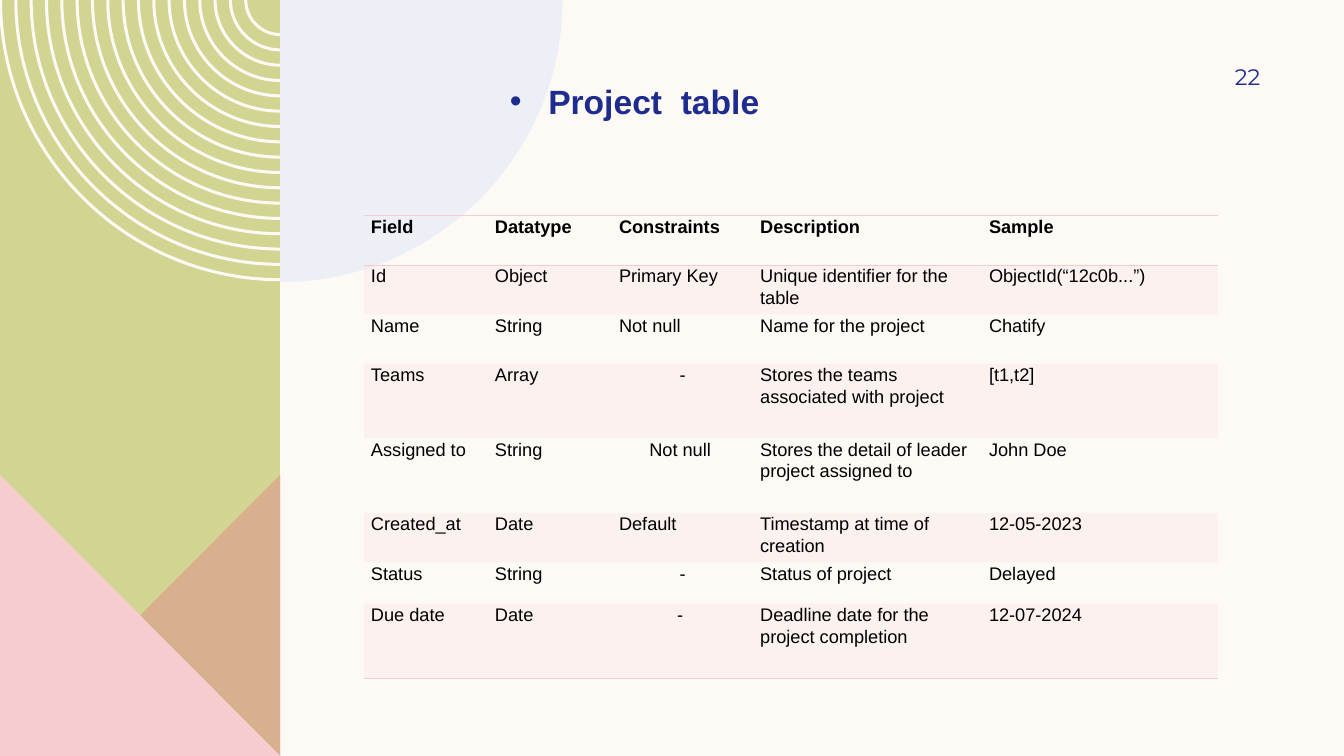
from lxml import etree
from pptx import Presentation
from pptx.dml.color import RGBColor
from pptx.enum.text import MSO_ANCHOR, PP_ALIGN
from pptx.oxml.ns import qn
from pptx.util import Inches, Pt

LEFT, MID, RIGHT = PP_ALIGN.LEFT, PP_ALIGN.CENTER, PP_ALIGN.RIGHT
TOP, CENTRE = MSO_ANCHOR.TOP, MSO_ANCHOR.MIDDLE

CREAM = RGBColor(0xFD, 0xFA, 0xF6)
GREEN = RGBColor(0xD2, 0xD5, 0x92)
ROSE = RGBColor(0xDE, 0x8C, 0x8C)
PINK = RGBColor(0xF5, 0xCD, 0xCE)
SKY = RGBColor(0xDD, 0xE7, 0xF6)
NAVY = RGBColor(0x1F, 0x2C, 0x8F)
BLACK = RGBColor(0, 0, 0)

WIDE, HIGH = 13.33, 7.5
EDGE = 2.78            # right edge of the green band
FOOT = HIGH - 2.79     # top of the triangles
BEND = 0.55            # handle length of a quarter circle, per radius
NO_STYLE = "{2D5ABB26-0587-4C30-8999-92F81FD0307C}"

deck = Presentation()
deck.slide_width, deck.slide_height = Inches(WIDE), Inches(HIGH)
slide = deck.slides.add_slide(deck.slide_layouts[6])
slide.background.fill.solid()
slide.background.fill.fore_color.rgb = CREAM
shapes = slide.shapes


def paint(fill, color, share=100):
    """Fill with a colour at the given percentage of opacity."""
    fill.solid()
    fill.fore_color.rgb = color
    if share < 100:
        tone = fill._xPr.find(qn("a:solidFill"))[0]
        etree.SubElement(tone, qn("a:alpha"), val=str(share * 1000))


def arc(size, side):
    """Ends and handles of a quarter circle, left (-1) or right (1) of EDGE."""
    return [(EDGE + side * size, 0), (EDGE + side * size, BEND * size),
            (EDGE + side * BEND * size, size), (EDGE, size)]


# Decoration, from back to front; bends tell which edges start a curve
rings = []
for k in range(17):
    size = 2.79 - 0.152 * k
    rings.append(arc(size, -1) + arc(size - 0.03, -1)[::-1])

art = [
    ([[(0, 0), (EDGE, 0), (EDGE, HIGH), (0, HIGH)]], (), GREEN, 100),
    (rings, (0, 4), CREAM, 100),
    ([[(EDGE, FOOT), (EDGE, HIGH), (0, HIGH)]], (), ROSE, 50),
    ([[(0, FOOT), (EDGE, HIGH), (0, HIGH)]], (), PINK, 100),
    ([[(EDGE, 0)] + arc(2.8, 1)], (1,), SKY, 50),
]
for loops, bends, color, share in art:
    pen = None
    for loop in loops:
        dots = [(Inches(x), Inches(y)) for x, y in loop]
        if pen is None:
            pen = shapes.build_freeform(*dots[0])
        else:
            pen.move_to(*dots[0])
        pen.add_line_segments(dots[1:], close=True)
    form = pen.convert_to_shape()
    form.shadow.inherit = False
    form.line.fill.background()
    paint(form.fill, color, share)
    edges = list(form._element.iter(qn("a:lnTo")))
    count = len(loops[0]) - 1
    for first in range(0, len(edges), count):
        for bend in bends:
            trio = edges[first + bend:first + bend + 3]
            curve = etree.Element(qn("a:cubicBezTo"))
            trio[0].addprevious(curve)
            for edge in trio:
                curve.append(edge[0])
                edge.getparent().remove(edge)

# Page number and title
texts = [
    ("22", (11.33, 0.5, 1.17, 0.52), RIGHT, CENTRE, 0, False,
     {"size": Pt(16), "name": "Montserrat"}),
    ("Project  table", (4.96, 0.75, 3.57, 0.5), LEFT, TOP, 0.1, True,
     {"size": Pt(24), "name": "Arial", "bold": True}),
]
for text, spot, side, anchor, inset, dot, style in texts:
    frame = shapes.add_textbox(*map(Inches, spot)).text_frame
    frame.word_wrap = True
    frame.vertical_anchor = anchor
    frame.margin_right = Inches(inset)
    para = frame.paragraphs[0]
    para.alignment = side
    if dot:
        props = para._p.get_or_add_pPr()
        props.set("marL", str(Inches(0.38)))
        props.set("indent", str(-Inches(0.38)))
        etree.SubElement(props, qn("a:buFont"), typeface="Arial")
        etree.SubElement(props, qn("a:buChar"), char="•")
    run = para.add_run()
    run.text = text
    run.font.color.rgb = NAVY
    for key, value in style.items():
        setattr(run.font, key, value)

# Field table
rows = [
    ("Field", "Datatype", "Constraints", "Description", "Sample"),
    ("Id", "Object", "Primary Key", "Unique identifier for the table",
     "ObjectId(“12c0b...”)"),
    ("Name", "String", "Not null", "Name for the project", "Chatify"),
    ("Teams", "Array", "-", "Stores the teams associated with project",
     "[t1,t2]"),
    ("Assigned to", "String", "Not null ",
     "Stores the detail of leader project assigned to", "John Doe"),
    ("Created_at", "Date", "Default", "Timestamp at time of creation",
     "12-05-2023"),
    ("Status", "String", "-", "Status of project", "Delayed"),
    ("Due date", "Date", "- ", "Deadline date for the project completion",
     "12-07-2024"),
]
widths = [1.23, 1.23, 1.4, 2.27, 2.34]
heights = [0.49, 0.49, 0.49, 0.74, 0.74, 0.49, 0.41, 0.74]
centred = {(3, 2), (4, 2), (6, 2), (7, 2)}
rules = {0: ("a:lnT", "a:lnB"), len(rows) - 1: ("a:lnB",)}
pad = {"margin_left": Inches(0.07), "margin_right": Inches(0.07),
       "margin_top": 0, "margin_bottom": 0}

table = shapes.add_table(len(rows), len(widths), Inches(3.61), Inches(2.14),
                         Inches(sum(widths)), Inches(sum(heights))).table
table._tbl.tblPr.find(qn("a:tableStyleId")).text = NO_STYLE
for col, width in zip(table.columns, widths):
    col.width = Inches(width)

for r, (row, height) in enumerate(zip(rows, heights)):
    table.rows[r].height = Inches(height)
    for c, text in enumerate(row):
        cell = table.cell(r, c)
        for key, value in pad.items():
            setattr(cell, key, value)
        for tag in rules.get(r, ()):
            line = etree.SubElement(cell._tc.get_or_add_tcPr(), qn(tag),
                                    w=str(Pt(1)))
            ink = etree.SubElement(line, qn("a:solidFill"))
            etree.SubElement(ink, qn("a:srgbClr"), val=str(PINK))
        if r % 2:
            paint(cell.fill, PINK, 20)
        else:
            cell.fill.background()
        para = cell.text_frame.paragraphs[0]
        para.alignment = MID if (r, c) in centred else LEFT
        para.line_spacing = 1.07
        para.space_after = Pt(8)
        run = para.add_run()
        run.text = text
        run.font.color.rgb = BLACK
        style = {"size": Pt(13), "name": "Arial", "bold": r == 0}
        for key, value in style.items():
            setattr(run.font, key, value)

deck.save("out.pptx")
